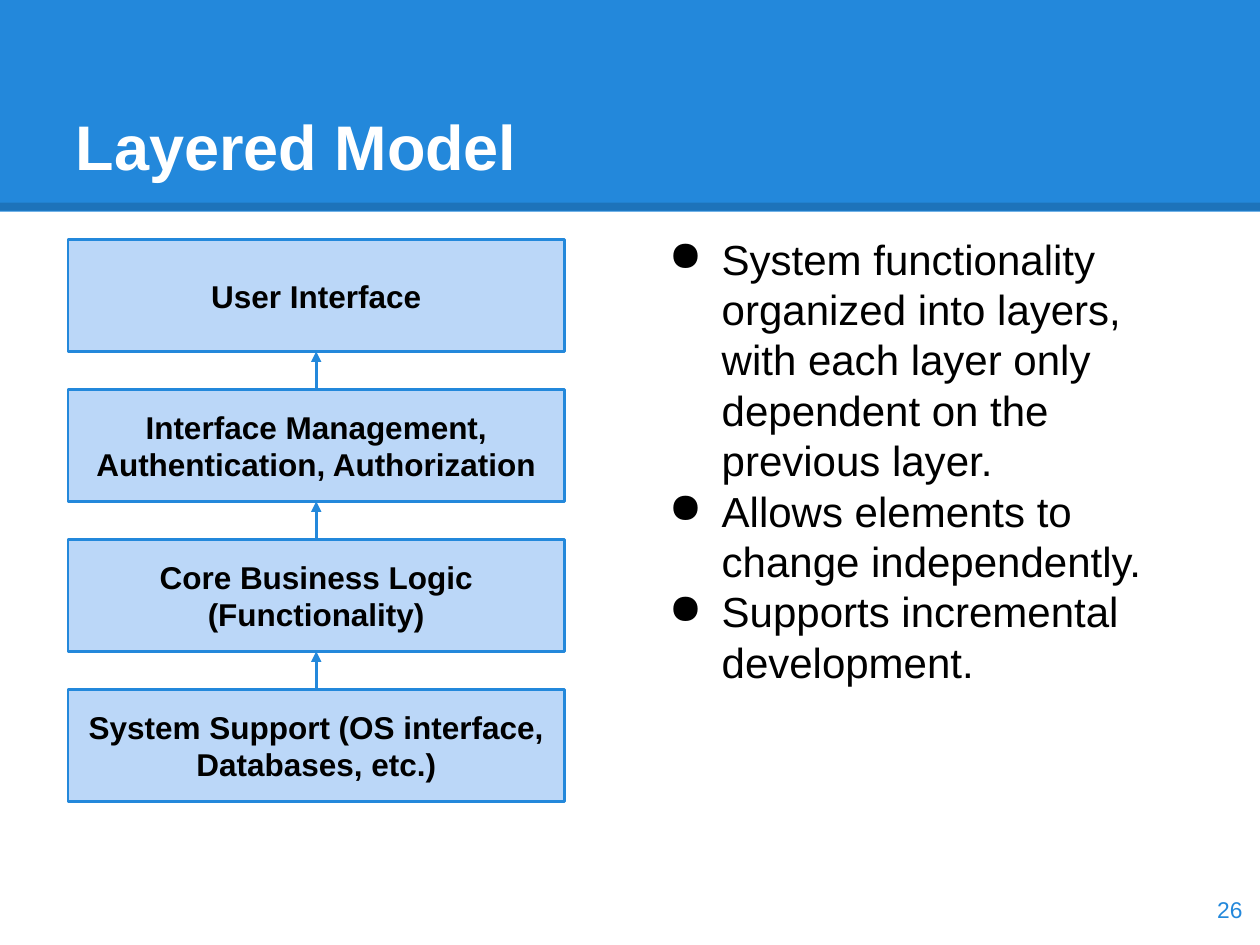
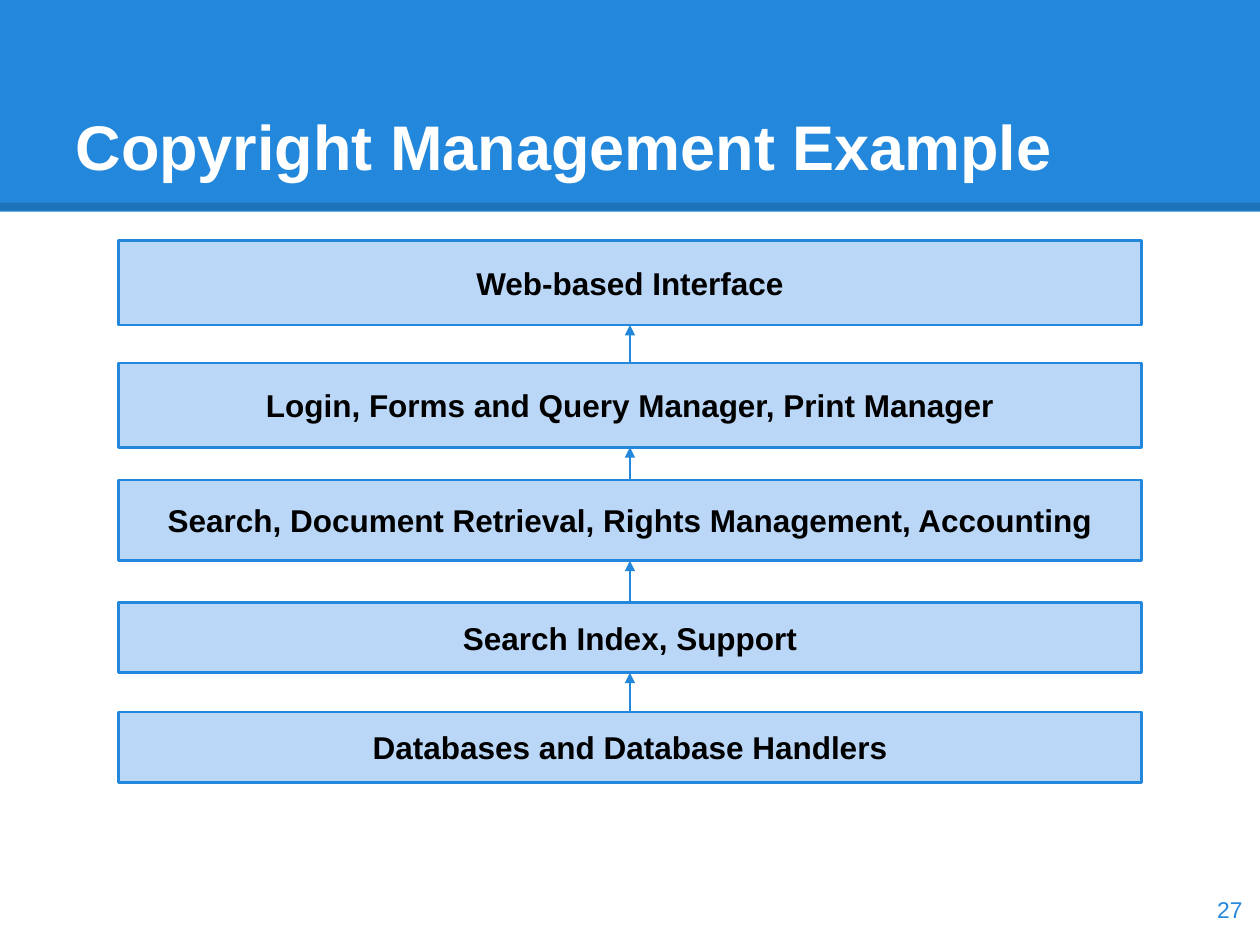
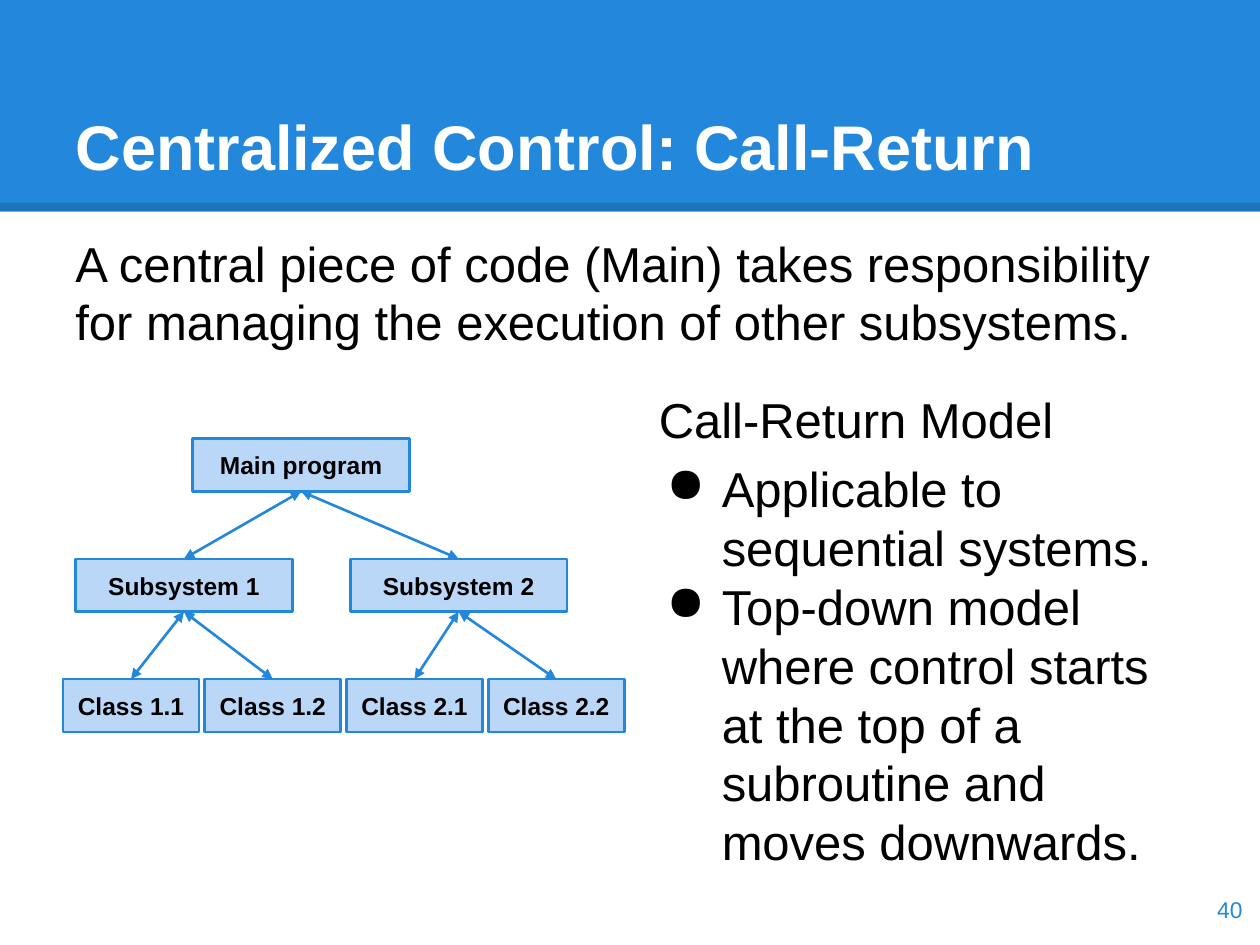
"""Build three slides on layered and call-return architecture models."""
from lxml import etree
from pptx import Presentation
from pptx import util as u
from pptx.dml.color import RGBColor
from pptx.enum import shapes, text
from pptx.oxml.ns import qn

BLUE = RGBColor(0x23, 0x88, 0xDB)
PALE = RGBColor(0xBB, 0xD7, 0xF8)
BLACK = RGBColor(0, 0, 0)
WHITE = RGBColor(0xFF, 0xFF, 0xFF)
FONT = "Arial"
LEFT, CENTER, RIGHT = text.PP_ALIGN.LEFT, text.PP_ALIGN.CENTER, text.PP_ALIGN.RIGHT
TOP, MIDDLE, BOTTOM = text.MSO_ANCHOR.TOP, text.MSO_ANCHOR.MIDDLE, text.MSO_ANCHOR.BOTTOM
BODY_TOP = 1.75
COLUMN_2 = 5.13

prs = Presentation()
prs.slide_width, prs.slide_height = u.Inches(10), u.Inches(7.5)


def write(sp, lines, size, color=BLACK, bold=False, align=LEFT, anchor=TOP):
    tf = sp.text_frame
    tf.word_wrap = True
    tf.auto_size = text.MSO_AUTO_SIZE.NONE
    tf.vertical_anchor = anchor
    tf.margin_left = tf.margin_right = tf.margin_top = tf.margin_bottom = u.Inches(0.1)
    tf.text = "\n".join(line for line, hang, before in lines)
    for p, (line, hang, before) in zip(tf.paragraphs, lines):
        p.alignment = align
        p.space_before = u.Pt(before)
        if hang:
            pPr = p._p.get_or_add_pPr()
            pPr.set("marL", str(u.Inches(0.5)))
            pPr.set("indent", str(-u.Inches(hang)))
            clr = etree.SubElement(pPr, qn("a:buClr"))
            etree.SubElement(clr, qn("a:srgbClr"), val=str(BLACK))
            etree.SubElement(pPr, qn("a:buChar"), char="●")
        for r in p.runs:
            r.font.name, r.font.size, r.font.bold = FONT, u.Pt(size), bold
            r.font.color.rgb = color


def style_line(line, color, width, ends=()):
    line.line.color.rgb = color
    line.line.width = u.Pt(width)
    for end in ends:
        etree.SubElement(line.line._get_or_add_ln(), qn(end), type="triangle")
    etree.SubElement(line._element.spPr, qn("a:effectLst"))


layers = ["User Interface", "Interface Management, Authentication, Authorization",
          "Core Business Logic (Functionality)",
          "System Support (OS interface, Databases, etc.)"]
layer_boxes = [(name, 0.54, 1.9 + 1.19 * i, 3.94, 0.89) for i, name in enumerate(layers)]

copyright_layers = [
    ("Web-based Interface", 1.91, 0.67),
    ("Login, Forms and Query Manager, Print Manager", 2.88, 0.67),
    ("Search, Document Retrieval, Rights Management, Accounting", 3.81, 0.64),
    ("Search Index, Support", 4.78, 0.56),
    ("Databases and Database Handlers", 5.65, 0.56),
]
copyright_boxes = [(name, 0.94, y, 8.12, h) for name, y, h in copyright_layers]

tree_rows = [3.48 + 1.91 / 2 * i for i in range(3)]
tree_boxes = [("Main program", 1.53, tree_rows[0], 1.72, 0.42)]
tree_boxes += [(f"Subsystem {i + 1}", 0.6 + 2.18 * i, tree_rows[1], 1.72, 0.42)
               for i in range(2)]
tree_boxes += [(f"Class {i // 2 + 1}.{i % 2 + 1}", 0.5 + 4.5 / 4 * i, tree_rows[2], 1.08, 0.42)
               for i in range(4)]

UP = ["a:tailEnd"]
BOTH = ["a:headEnd", "a:tailEnd"]
slides = [
    ("Layered Model", 26, 24, [
        (COLUMN_2, BODY_TOP, 4.37, 5.43, [
            ("System functionality organized into layers, with each layer only "
             "dependent on the previous layer.", 0.42, 0),
            ("Allows elements to change independently.", 0.42, 0),
            ("Supports incremental development.", 0.42, 0)])],
     layer_boxes, 18, [(i + 1, 0, i, 2) for i in range(3)], UP),
    ("Copyright Management Example", 27, 24, [],
     copyright_boxes, 18, [(i + 1, 0, i, 2) for i in range(4)], UP),
    ("Centralized Control: Call-Return", 40, 28, [
        (0.5, BODY_TOP, 8.92, 1.54, [
            ("A central piece of code (Main) takes responsibility for managing "
             "the execution of other subsystems.", 0, 0)]),
        (COLUMN_2, 2.99, 4.29, 4.19, [
            ("Call-Return Model", 0, 0),
            ("Applicable to sequential systems.", 0.44, 6),
            ("Top-down model where control starts at the top of a subroutine "
             "and moves downwards.", 0.44, 0)])],
     tree_boxes, 14, [((i - 1) // 2, 2, i, 0) for i in range(1, 7)], BOTH),
]

for title, number, body_size, bodies, boxes, box_size, links, ends in slides:
    s = prs.slides.add_slide(prs.slide_layouts[5])
    band = s.shapes.add_shape(shapes.MSO_SHAPE.RECTANGLE, 0, 0, prs.slide_width, u.Inches(1.68))
    band.shadow.inherit = False
    band.fill.solid()
    band.fill.fore_color.rgb = BLUE
    band.line.fill.background()
    rule = s.shapes.add_connector(shapes.MSO_CONNECTOR.STRAIGHT, 0, u.Inches(1.64),
                                  prs.slide_width, u.Inches(1.64))
    style_line(rule, BLACK, 4.5)
    for clr in rule._element.spPr.iter(qn("a:srgbClr")):
        etree.SubElement(clr, qn("a:alpha"), val="15000")

    heading = s.shapes.title
    heading.left, heading.top, heading.width, heading.height = map(u.Inches, (0.5, 0.3, 9, 1.25))
    write(heading, [(title, 0, 0)], 36, WHITE, True, LEFT, BOTTOM)
    s.shapes._spTree.append(heading._element)

    for x, y, w, h, lines in bodies:
        write(s.shapes.add_textbox(*map(u.Inches, (x, y, w, h))), lines, body_size)

    nodes = []
    for name, x, y, w, h in boxes:
        sp = s.shapes.add_shape(shapes.MSO_SHAPE.RECTANGLE, *map(u.Inches, (x, y, w, h)))
        sp.shadow.inherit = False
        sp.fill.solid()
        sp.fill.fore_color.rgb = PALE
        sp.line.color.rgb = BLUE
        sp.line.width = u.Pt(1.5)
        write(sp, [(name, 0, 0)], box_size, BLACK, True, CENTER, MIDDLE)
        nodes.append(sp)

    for start, start_side, stop, stop_side in links:
        arrow = s.shapes.add_connector(shapes.MSO_CONNECTOR.STRAIGHT, 0, 0, 0, 0)
        arrow.begin_connect(nodes[start], start_side)
        arrow.end_connect(nodes[stop], stop_side)
        style_line(arrow, BLUE, 1.5, ends)

    page = s.shapes.add_textbox(*map(u.Inches, (9.36, 6.93, 0.6, 0.57)))
    write(page, [(str(number), 0, 0)], 13, BLUE, False, RIGHT, MIDDLE)

prs.save("out.pptx")
